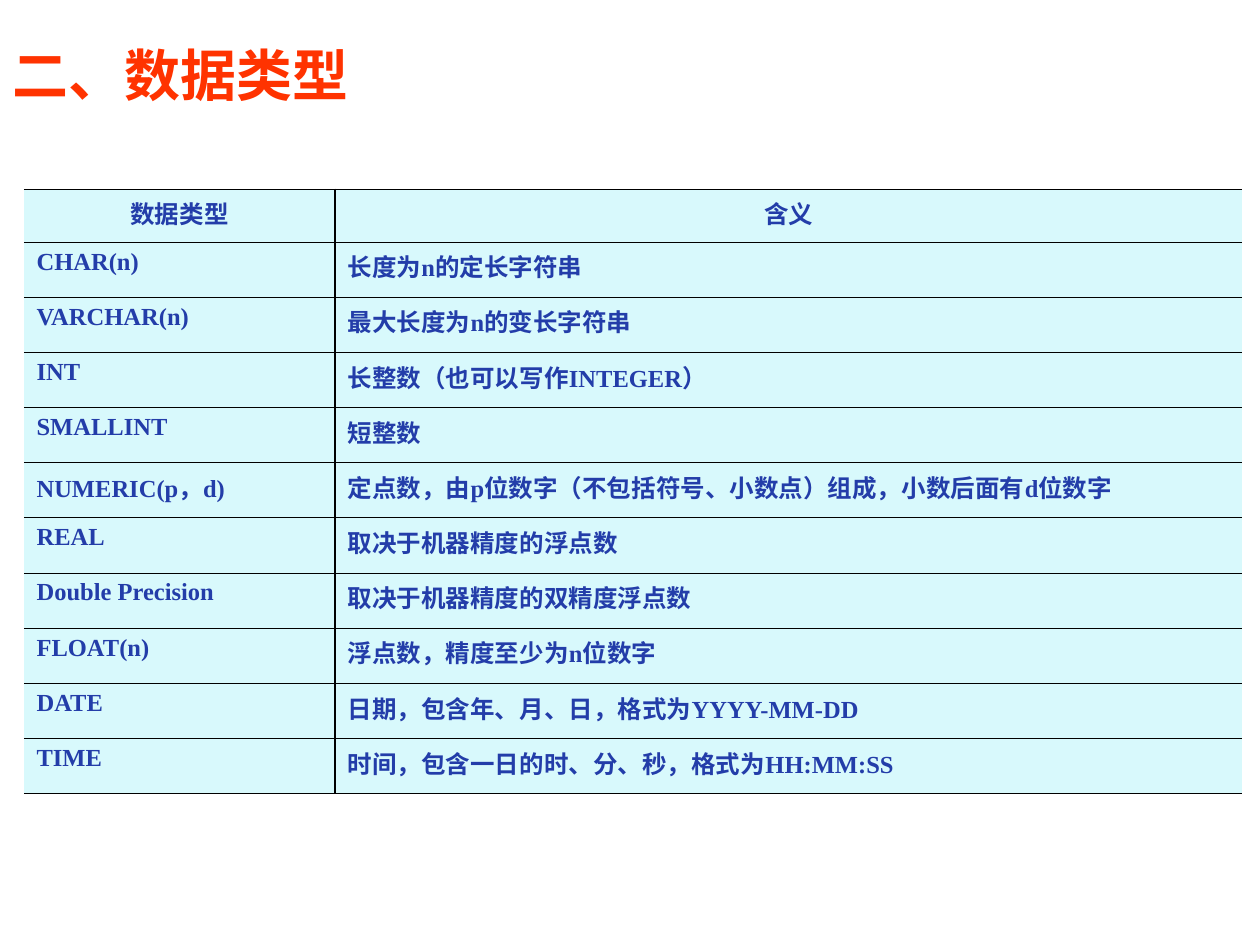
from dataclasses import dataclass

from pptx import Presentation
from pptx import util as u
from pptx.dml.color import RGBColor
from pptx.enum import text
from pptx.oxml import parse_xml
from pptx.oxml.ns import nsdecls, qn


@dataclass(frozen=True)
class Theme:
    title: str = "FF3300"
    body: str = "233DA9"
    fill: str = "D8F9FC"
    rule: str = "000000"
    latin: str = "Times New Roman"
    asian: str = "Noto Sans CJK SC"
    big: int = 32
    small: int = 14
    thin: float = 0.45
    thick: float = 1.08


THEME = Theme()
WIDE, HIGH = u.Inches(10), u.Inches(7.5)
COLS = (2.47, 7.2)
HEAD, FULL = 0.42, 4.8
ROWS = (
    ("数据类型", "含义"),
    ("CHAR(n)", "长度为n的定长字符串"),
    ("VARCHAR(n)", "最大长度为n的变长字符串"),
    ("INT", "长整数（也可以写作INTEGER）"),
    ("SMALLINT", "短整数"),
    ("NUMERIC(p，d)", "定点数，由p位数字（不包括符号、小数点）组成，小数后面有d位数字"),
    ("REAL", "取决于机器精度的浮点数"),
    ("Double Precision", "取决于机器精度的双精度浮点数"),
    ("FLOAT(n)", "浮点数，精度至少为n位数字"),
    ("DATE", "日期，包含年、月、日，格式为YYYY-MM-DD"),
    ("TIME", "时间，包含一日的时、分、秒，格式为HH:MM:SS"),
)


def style(para, size, color, latin):
    font = para.font
    font.size, font.bold, font.name = u.Pt(size), True, latin
    font.color.rgb = RGBColor.from_string(color)
    face = parse_xml(f'<a:ea {nsdecls("a")} typeface="{THEME.asian}"/>')
    para._p.pPr.find(qn("a:defRPr")).find(qn("a:latin")).addnext(face)


def border(cell, side, width):
    if width:
        paint = f'<a:solidFill><a:srgbClr val="{THEME.rule}"/></a:solidFill>'
    else:
        paint = "<a:noFill/>"
    line = parse_xml(
        f'<a:ln{side} {nsdecls("a")} w="{u.Pt(width)}">{paint}</a:ln{side}>'
    )
    cell._tc.get_or_add_tcPr().append(line)


def put_title(slide, words):
    box = slide.shapes.title
    box.left, box.top = 0, u.Inches(0.28)
    box.width, box.height = u.Inches(8.08), u.Inches(0.62)
    frame = box.text_frame
    frame.text = words
    frame.auto_size = text.MSO_AUTO_SIZE.NONE
    frame.vertical_anchor = text.MSO_ANCHOR.MIDDLE
    para = frame.paragraphs[0]
    para.alignment = text.PP_ALIGN.LEFT
    style(para, THEME.big, THEME.title, THEME.asian)


def put_cell(cell, words, row, col):
    cell.text = words
    cell.margin_left = cell.margin_right = u.Inches(0.1)
    cell.margin_top = cell.margin_bottom = u.Inches(0.05)
    sides = {
        "L": THEME.thick if col else 0,
        "R": 0 if col else THEME.thick,
        "T": THEME.thin,
        "B": THEME.thin,
    }
    for side, width in sides.items():
        border(cell, side, width)
    cell.fill.solid()
    cell.fill.fore_color.rgb = RGBColor.from_string(THEME.fill)
    para = cell.text_frame.paragraphs[0]
    para.alignment = text.PP_ALIGN.LEFT if row else text.PP_ALIGN.CENTER
    props = para._p.get_or_add_pPr()
    props.set("marL", str(u.Inches(0.38)))
    props.set("indent", str(u.Inches(-0.38)))
    style(para, THEME.small, THEME.body, THEME.latin)


def put_table(slide):
    grid = slide.shapes.add_table(
        len(ROWS), len(COLS), u.Inches(0.19), u.Inches(1.5),
        u.Inches(sum(COLS)), u.Inches(FULL),
    ).table
    grid.first_row = grid.horz_banding = False
    for col, width in zip(grid.columns, COLS):
        col.width = u.Inches(width)
    step = (FULL - HEAD) / (len(ROWS) - 1)
    for row, words in enumerate(ROWS):
        grid.rows[row].height = u.Inches(step if row else HEAD)
        for col, word in enumerate(words):
            put_cell(grid.cell(row, col), word, row, col)


def main():
    deck = Presentation()
    deck.slide_width, deck.slide_height = WIDE, HIGH
    slide = deck.slides.add_slide(deck.slide_layouts[5])
    put_title(slide, "二、数据类型")
    put_table(slide)
    deck.save("out.pptx")


if __name__ == "__main__":
    main()
